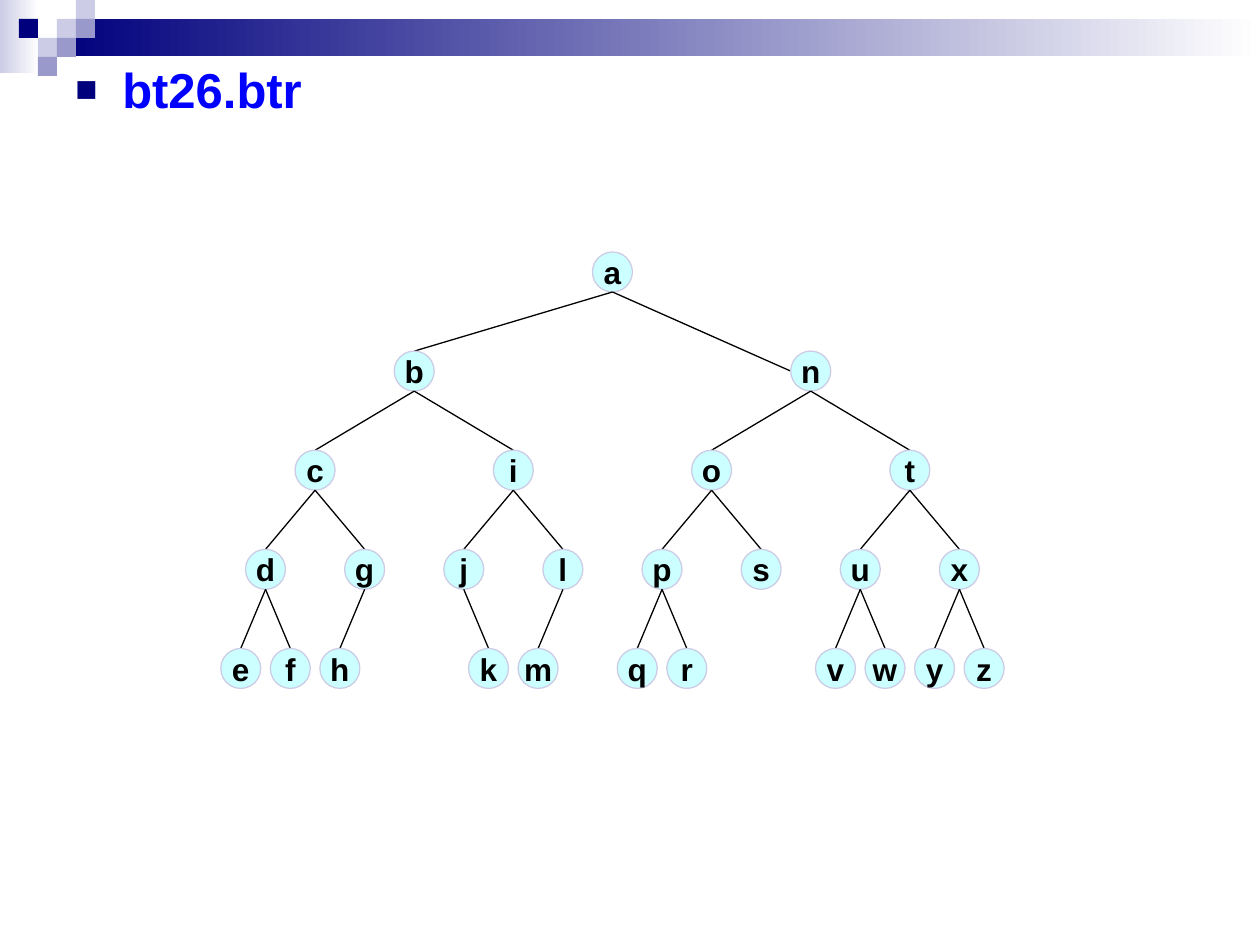
from lxml.etree import SubElement
from pptx import Presentation
from pptx.dml.color import RGBColor
from pptx.enum.shapes import MSO_CONNECTOR, MSO_SHAPE
from pptx.enum.text import MSO_ANCHOR, PP_ALIGN
from pptx.oxml.ns import qn
from pptx.util import Pt

COLORS = {
    "navy": "00007D", "lavender": "CCCCE6", "violet": "9999CC", "white": "FFFFFF",
    "title": "0000FF", "node": "CCFFFF", "black": "000000",
}
TITLE = "bt26.btr"
TREE_LEVELS = ["a", "bn", "ciot", "dgjlpsux", "efh--km-qr--vwyz"]
EMPTY = "-"
SIDE_ENTRY = "n"
GRADIENT_BARS = [
    ((0, 0, 39, 73), "lavender"),
    ((57, 19, 1203, 37), "navy"),
]
SQUARES = [
    (3, 1, "lavender"), (4, 0, "lavender"), (4, 1, "violet"), (2, 2, "lavender"),
    (1, 1, "navy"), (3, 2, "violet"), (2, 3, "violet"),
]
SQUARE = 19
TREE_LEFT, TREE_TOP, TREE_WIDTH = 216, 252, 793
LEVEL_STEP = TREE_WIDTH / 8
NODE = 40


def px(length):
    return round(length * 914400 / 126)


def color(name):
    return RGBColor.from_string(COLORS[name])


def write(shape, text, size, font_color, align=PP_ALIGN.LEFT, anchor=MSO_ANCHOR.TOP, wrap=True):
    frame = shape.text_frame
    frame.word_wrap = wrap
    frame.vertical_anchor = anchor
    paragraph = frame.paragraphs[0]
    paragraph.alignment = align
    run = paragraph.add_run()
    run.text = text
    run.font.name = "Arial"
    run.font.size = Pt(size)
    run.font.bold = True
    run.font.color.rgb = color(font_color)
    return paragraph


def add_shape(slide, kind, box, fill, line=None, fade=False):
    shape = slide.shapes.add_shape(kind, *map(px, box))
    shape.shadow.inherit = False
    if fade:
        shape.fill.gradient()
        shape.fill.gradient_angle = 0
        for stop, name in zip(shape.fill.gradient_stops, (fill, "white")):
            stop.color.rgb = color(name)
    else:
        shape.fill.solid()
        shape.fill.fore_color.rgb = color(fill)
    if line:
        shape.line.color.rgb = color(line)
        shape.line.width = Pt(0.75)
    else:
        shape.line.fill.background()
    return shape


def add_edge(slide, start, end):
    edge = slide.shapes.add_connector(MSO_CONNECTOR.STRAIGHT, *map(px, start + end))
    edge.line.color.rgb = color("black")
    edge.line.width = Pt(0.75)
    SubElement(edge._element.spPr, qn("a:effectLst"))


def add_bullet(paragraph):
    properties = paragraph._p.get_or_add_pPr()
    properties.set("marL", str(px(47)))
    properties.set("indent", str(px(-47)))
    spacing = SubElement(properties, qn("a:spcBef"))
    SubElement(spacing, qn("a:spcPct"), val="20000")
    bullet_color = SubElement(properties, qn("a:buClr"))
    SubElement(bullet_color, qn("a:srgbClr"), val=COLORS["navy"])
    SubElement(properties, qn("a:buSzPct"), val="75000")
    SubElement(properties, qn("a:buFont"), typeface="Arial")
    SubElement(properties, qn("a:buChar"), char="■")


def add_tree(slide):
    for level, letters in enumerate(TREE_LEVELS):
        slot = TREE_WIDTH / len(letters)
        top = TREE_TOP + level * LEVEL_STEP
        for index, letter in enumerate(letters):
            if letter == EMPTY:
                continue
            center = TREE_LEFT + slot * (index + 0.5)
            left = center - NODE / 2
            if level:
                parent = TREE_LEFT + 2 * slot * (index // 2 + 0.5)
                end = (left, top + NODE / 2) if letter == SIDE_ENTRY else (center, top)
                add_edge(slide, (parent, top - LEVEL_STEP + NODE), end)
            node = add_shape(slide, MSO_SHAPE.OVAL, (left, top, NODE, NODE), "node", line="lavender")
            write(node, letter, 18, "black", align=PP_ALIGN.CENTER,
                  anchor=MSO_ANCHOR.MIDDLE, wrap=False)


def main():
    presentation = Presentation()
    presentation.slide_width = px(1260)
    presentation.slide_height = px(945)
    slide = presentation.slides.add_slide(presentation.slide_layouts[6])
    for box, fill in GRADIENT_BARS:
        add_shape(slide, MSO_SHAPE.RECTANGLE, box, fill, fade=True)
    for column, row, fill in SQUARES:
        box = (column * SQUARE, row * SQUARE, SQUARE, SQUARE)
        add_shape(slide, MSO_SHAPE.RECTANGLE, box, fill)
    body = slide.shapes.add_textbox(*map(px, (63, 53, 1144, 892)))
    add_bullet(write(body, TITLE, 28, "title"))
    add_tree(slide)
    presentation.save("out.pptx")


if __name__ == "__main__":
    main()
